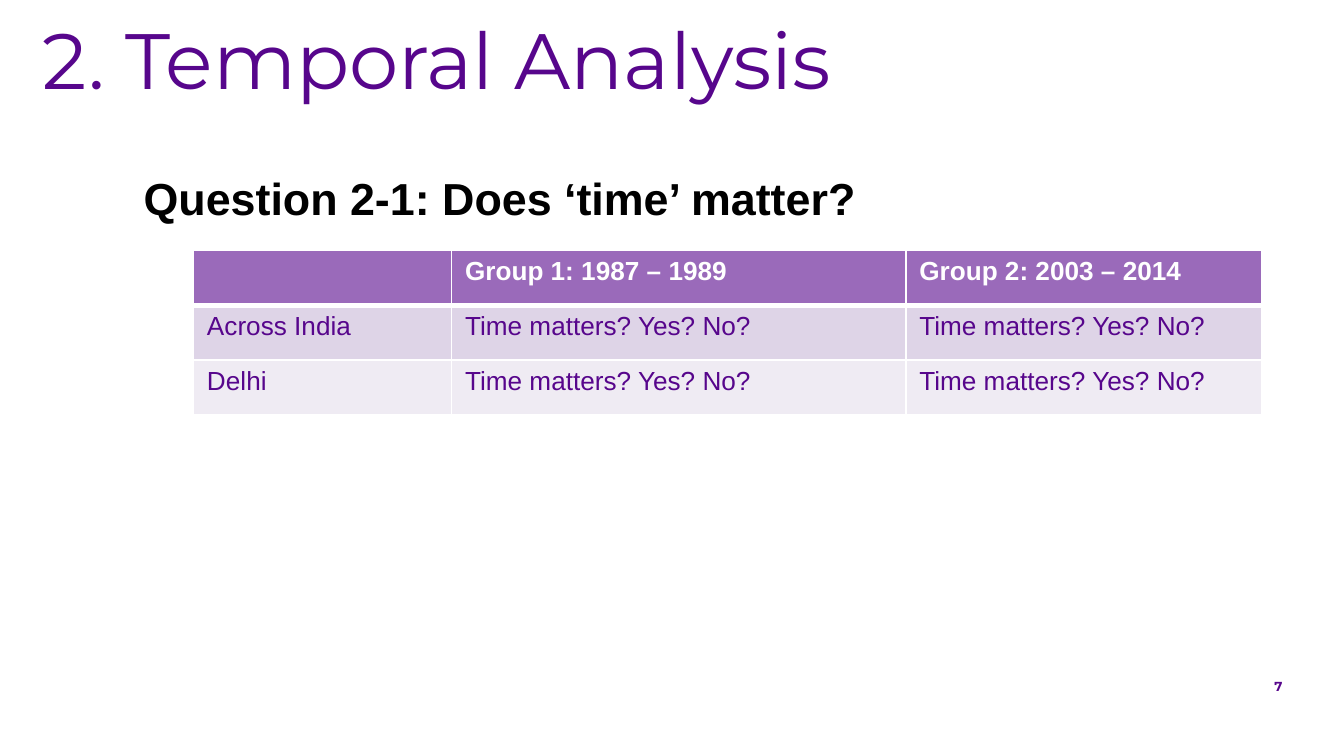
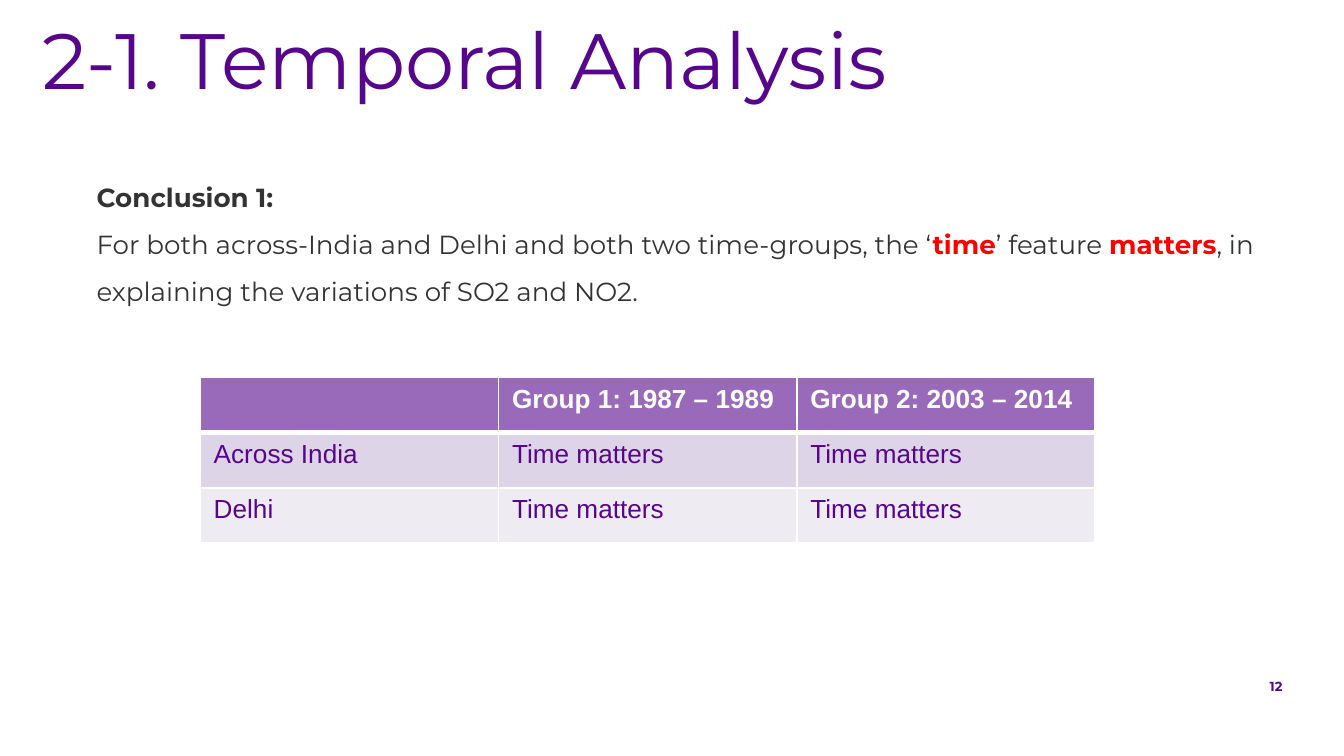
import pptx
import pptx.util
import pptx.dml.color
import pptx.enum.text
import pptx.oxml
import pptx.oxml.ns
from pptx.util import Inches

# Content
PURPLE, DARK, BLACK, RED, WHITE = "57068C", "333333", "000000", "FF0000", "FFFFFF"
HEADER_FILL, ROW_FILLS = "9A6ABA", ("DED4E7", "EFEBF3")
HEADINGS = ["", "Group 1: 1987 – 1989", "Group 2: 2003 – 2014"]
REGIONS = ["Across India", "Delhi"]
SLIDE_WIDTH = 10
ROW_HEIGHT = 0.41

QUESTION = [[("Question 2-1: Does ‘time’ matter?", BLACK, True)]]
CONCLUSION = [
    [("Conclusion 1:", DARK, True)],
    [("For both across-India and Delhi and both two time-groups, the ‘", DARK, False),
     ("time", RED, True),
     ("’ feature ", DARK, False),
     ("matters", RED, True),
     (", in explaining the variations of SO2 and NO2.", DARK, False)],
]


def rgb(hex_color):
    return pptx.dml.color.RGBColor.from_string(hex_color)


def style_run(r, size, font, color, bold):
    r.font.size = pptx.util.Pt(size)
    r.font.name = font
    r.font.color.rgb = rgb(color)
    r.font.bold = bold


def add_text(s, box, paragraphs, size, font="Montserrat", inset=0.1,
             spacing=None, indent=0, align=None,
             anchor=pptx.enum.text.MSO_ANCHOR.TOP):
    """Add a text box; each paragraph is a list of (text, color, bold)."""
    tf = s.shapes.add_textbox(*map(Inches, box)).text_frame
    tf.word_wrap = True
    tf.vertical_anchor = anchor
    tf.margin_left = tf.margin_right = Inches(0.1)
    tf.margin_top = tf.margin_bottom = Inches(inset)
    for i, runs in enumerate(paragraphs):
        p = tf.add_paragraph() if i else tf.paragraphs[0]
        p.alignment = align
        p.line_spacing = spacing
        if indent:
            p._p.get_or_add_pPr().set("marL", str(Inches(indent)))
        for text, color, bold in runs:
            r = p.add_run()
            r.text = text
            style_run(r, size, font, color, bold)


def set_borders(cell, widths):
    """Draw white borders; widths are points for left, right, top, bottom."""
    tc_pr = cell._tc.get_or_add_tcPr()
    for i, (side, width) in enumerate(zip("LRTB", widths)):
        tc_pr.insert(i, pptx.oxml.parse_xml(
            f'<a:ln{side} {pptx.oxml.ns.nsdecls("a")} w="{pptx.util.Pt(width)}">'
            f'<a:solidFill><a:srgbClr val="{WHITE}"/></a:solidFill></a:ln{side}>'))


def add_group_table(s, left, top, col_widths, answer):
    rows = [HEADINGS] + [[region, answer, answer] for region in REGIONS]
    table = s.shapes.add_table(
        len(rows), len(HEADINGS), Inches(left), Inches(top),
        Inches(sum(col_widths)), Inches(ROW_HEIGHT * len(rows))).table
    for column, width in zip(table.columns, col_widths):
        column.width = Inches(width)
    for i, row in enumerate(rows):
        header = i == 0
        table.rows[i].height = Inches(ROW_HEIGHT)
        for j, text in enumerate(row):
            cell = table.cell(i, j)
            cell.fill.solid()
            cell.fill.fore_color.rgb = rgb(HEADER_FILL if header else ROW_FILLS[i - 1])
            # A thick rule separates the header from the body
            set_borders(cell, (1, 1, 3 if i == 1 else 1, 3 if header else 1))
            cell.text_frame.text = text
            for r in cell.text_frame.paragraphs[0].runs:
                style_run(r, 14, "Arial", WHITE if header else PURPLE, header)


def add_slide(prs, title, number):
    """Start a slide with the shared page number and title."""
    s = prs.slides.add_slide(prs.slide_layouts[6])
    add_text(s, (5.05, 4.94, 4.59, 0.34), [[(number, PURPLE, True)]], 7,
             align=pptx.enum.text.PP_ALIGN.RIGHT,
             anchor=pptx.enum.text.MSO_ANCHOR.MIDDLE)
    add_text(s, (0.22, 0.09, 9.32, 3.5), [[(title, PURPLE, False)]], 42, spacing=0.85)
    return s


def main():
    prs = pptx.Presentation()
    prs.slide_width = Inches(SLIDE_WIDTH)
    prs.slide_height = Inches(SLIDE_WIDTH * 9 / 16)

    # Question slide
    s = add_slide(prs, "2. Temporal Analysis", "7")
    add_text(s, (0.97, 1.22, 7.61, 0.5), QUESTION, 24, font="Arial", inset=0.05)
    add_group_table(s, 1.44, 1.86, (1.92, 3.38, 2.65), "Time matters? Yes? No?")

    # Conclusion slide
    s = add_slide(prs, "2-1. Temporal Analysis", "12")
    add_text(s, (0.47, 1.13, 9.53, 3.42), CONCLUSION, 14, spacing=1.5, indent=0.15)
    add_group_table(s, 1.49, 2.81, (2.22,) * 3, "Time matters")

    prs.save("out.pptx")


if __name__ == "__main__":
    main()
